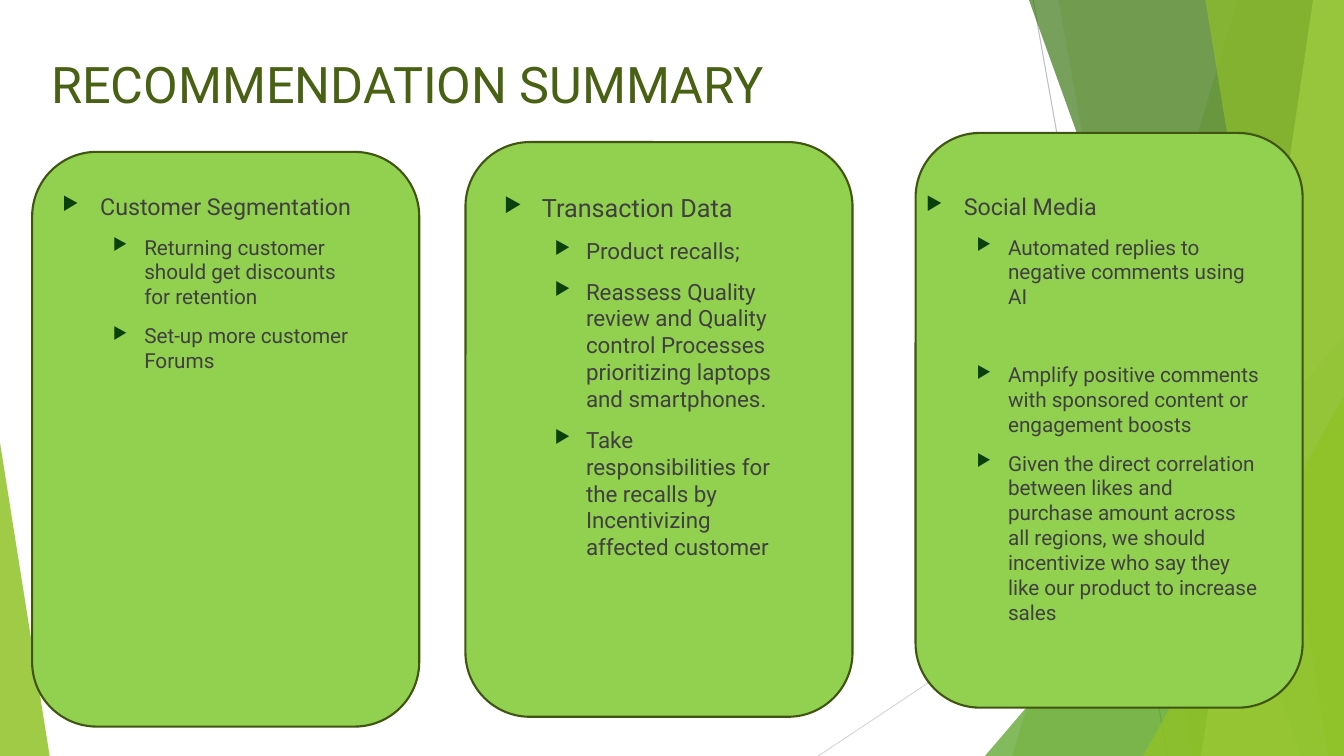
from dataclasses import dataclass

from lxml.etree import SubElement
from pptx import Presentation
from pptx.dml.color import RGBColor
from pptx.enum.shapes import MSO_CONNECTOR, MSO_SHAPE
from pptx.oxml.ns import qn
from pptx.util import Pt

WIDTH, HEIGHT = 960, 540


@dataclass(frozen=True)
class Theme:
    font: str = "Roboto"
    title: str = "486113"
    body: str = "404040"
    bullet: str = "0A400C"
    card: str = "92D050"
    card_line: str = "3F5511"
    lime: str = "90C226"
    pale: str = "C0E474"
    leaf: str = "54A021"
    forest: str = "3F7819"
    hairline: str = "BFBFBF"
    light_hairline: str = "D9D9D9"
    title_size: float = 36
    small: tuple = (16.6, 14.8)
    large: tuple = (18, 16)


class SlideBuilder:
    def __init__(self, prs, theme):
        self.theme = theme
        self.s = prs.slides.add_slide(prs.slide_layouts[6])

    def line(self, x1, y1, x2, y2, color):
        cn = self.s.shapes.add_connector(
            MSO_CONNECTOR.STRAIGHT, Pt(x1), Pt(y1), Pt(x2), Pt(y2))
        cn.line.color.rgb = RGBColor.from_string(color)
        cn.line.width = Pt(0.75)
        SubElement(cn._element.spPr, qn("a:effectLst"))

    def paint(self, sp, color, alpha=100):
        """Fill a shape without outline or shadow; alpha is opacity in percent."""
        sp.shadow.inherit = False
        sp.fill.solid()
        sp.fill.fore_color.rgb = RGBColor.from_string(color)
        sp.line.fill.background()
        if alpha < 100:
            clr = sp._element.spPr.find(qn("a:solidFill"))[0]
            SubElement(clr, qn("a:alpha"), val=str(alpha * 1000))

    def facet(self, top_x, bottom_x, color, alpha):
        """Full-height band from a slanted left edge to the slide's right edge."""
        fb = self.s.shapes.build_freeform(Pt(top_x), 0)
        fb.add_line_segments([(Pt(WIDTH), 0), (Pt(WIDTH), Pt(HEIGHT)),
                              (Pt(bottom_x), Pt(HEIGHT))], close=True)
        self.paint(fb.convert_to_shape(), color, alpha)

    def triangle(self, x, y, w, apex, color, alpha):
        """Triangle standing on the slide's bottom edge; apex is 0 left to 1 right."""
        sp = self.s.shapes.add_shape(MSO_SHAPE.ISOSCELES_TRIANGLE,
                                     Pt(x), Pt(y), Pt(w), Pt(HEIGHT - y))
        sp.adjustments[0] = apex
        self.paint(sp, color, alpha)

    def card(self, x, y):
        sp = self.s.shapes.add_shape(MSO_SHAPE.ROUNDED_RECTANGLE,
                                     Pt(x), Pt(y), Pt(276.5), Pt(410.5))
        self.paint(sp, self.theme.card)
        sp.line.color.rgb = RGBColor.from_string(self.theme.card_line)
        sp.line.width = Pt(1.5)

    def text_box(self, x, y, w, h):
        tf = self.s.shapes.add_textbox(Pt(x), Pt(y), Pt(w), Pt(h)).text_frame
        tf.word_wrap = True
        return tf

    def put_text(self, p, text, *, size, color, before=0):
        r = p.add_run()
        r.text = text
        r.font.name = self.theme.font
        r.font.size = Pt(size)
        r.font.color.rgb = RGBColor.from_string(color)
        if before:
            p.space_before = Pt(before)

    def bullet(self, p, margin, hanging):
        pPr = p._p.get_or_add_pPr()
        pPr.set("marL", str(Pt(margin)))
        pPr.set("indent", str(-Pt(hanging)))
        clr = SubElement(pPr, qn("a:buClr"))
        SubElement(clr, qn("a:srgbClr"), val=self.theme.bullet)
        SubElement(pPr, qn("a:buSzPct"), val="80000")
        SubElement(pPr, qn("a:buChar"), char="▶")

    def title(self, text):
        tf = self.text_box(29.5, 34.5, 677, 104)
        self.put_text(tf.paragraphs[0], text,
                      size=self.theme.title_size, color=self.theme.title)

    def bullet_list(self, x, w, heading, items, sizes):
        """Heading bullet, then (text, space before) items one level down."""
        tf = self.text_box(x, 134, w, 305)
        color = self.theme.body
        p = tf.paragraphs[0]
        self.bullet(p, 27, 27)
        self.put_text(p, heading, size=sizes[0], color=color)
        for text, before in items:
            p = tf.add_paragraph()
            p.level = 1
            self.bullet(p, 58.5, 22.5)
            self.put_text(p, text, size=sizes[1], color=color, before=before)


def main():
    prs = Presentation()
    prs.slide_width, prs.slide_height = Pt(WIDTH), Pt(HEIGHT)
    t = Theme()
    b = SlideBuilder(prs, t)

    b.line(738, 0, 834, HEIGHT, t.hairline)
    b.line(WIDTH, 290, 584.5, HEIGHT, t.light_hairline)
    b.facet(884, 723, t.lime, 30)
    b.facet(756, 852, t.lime, 20)
    b.triangle(703.5, 240, 256.5, 1, t.leaf, 72)
    b.facet(735, 929.5, t.forest, 70)
    b.facet(938, 858, t.pale, 70)
    b.facet(861, 949, t.lime, 65)
    b.triangle(816.5, 283, 143.5, 1, t.lime, 80)
    b.triangle(0, 316, 35.5, 0, t.lime, 85)

    b.title("RECOMMENDATION SUMMARY")

    columns = [
        ((23, 108.5), (37.5, 221), t.small, "Customer Segmentation", [
            ("Returning customer should get discounts for retention", 10),
            ("Set-up more customer Forums", 10)]),
        ((332.5, 101.5), (353, 214), t.large, "Transaction Data", [
            ("Product recalls;", 10),
            ("Reassess Quality review and Quality control Processes "
             "prioritizing laptops and smartphones.", 10),
            ("Take responsibilities for the recalls by Incentivizing "
             "affected customer", 10)]),
        ((654, 95), (654.5, 252), t.small, "Social Media", [
            ("Automated replies to negative comments using AI", 10),
            ("Amplify positive comments with sponsored content or "
             "engagement boosts", 37.75),
            ("Given the direct correlation between likes and purchase amount "
             "across all regions, we should incentivize who say they like "
             "our product to increase sales", 10)]),
    ]
    for corner, (x, w), sizes, heading, items in columns:
        b.card(*corner)
        b.bullet_list(x, w, heading, items, sizes)

    prs.save("out.pptx")


if __name__ == "__main__":
    main()
